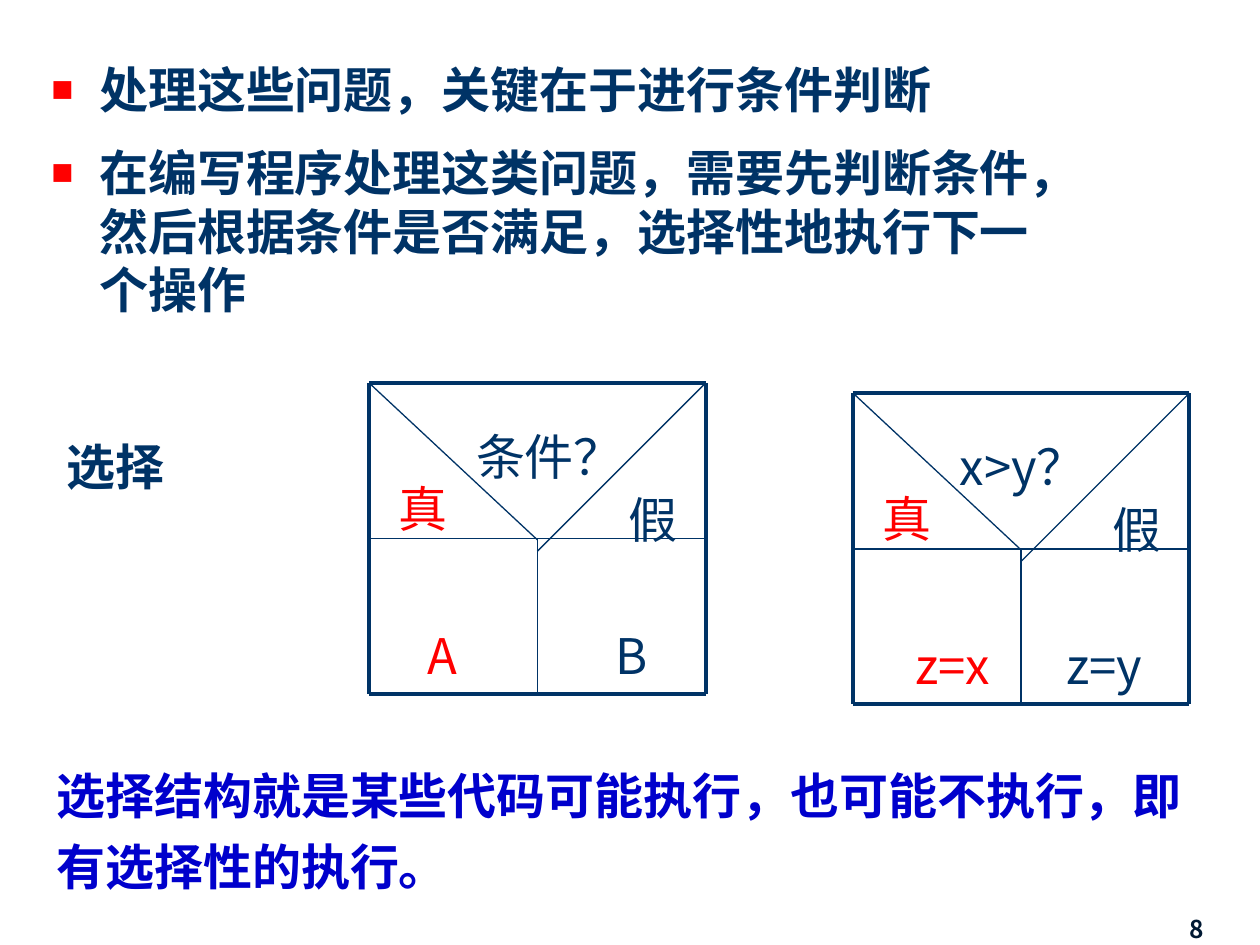
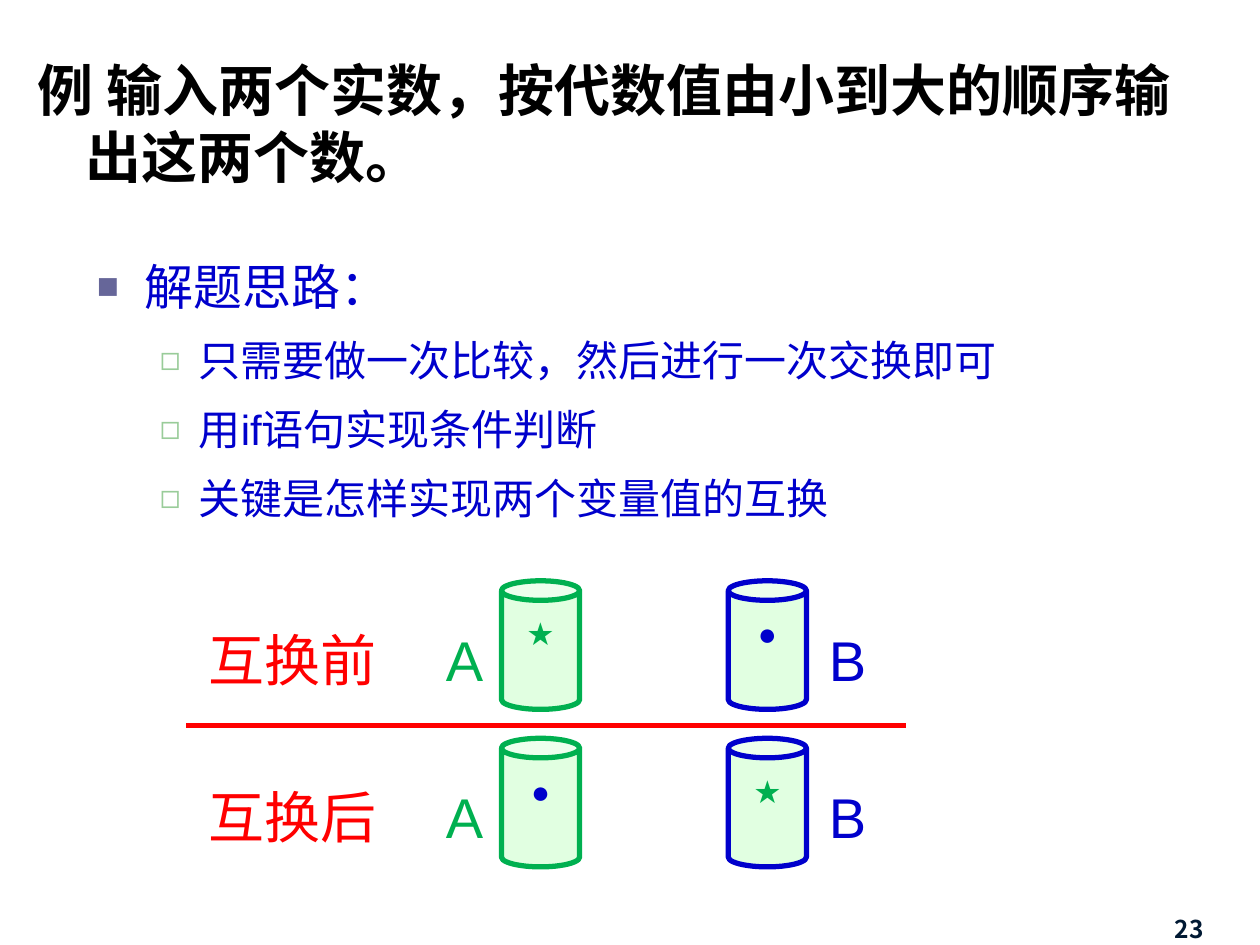
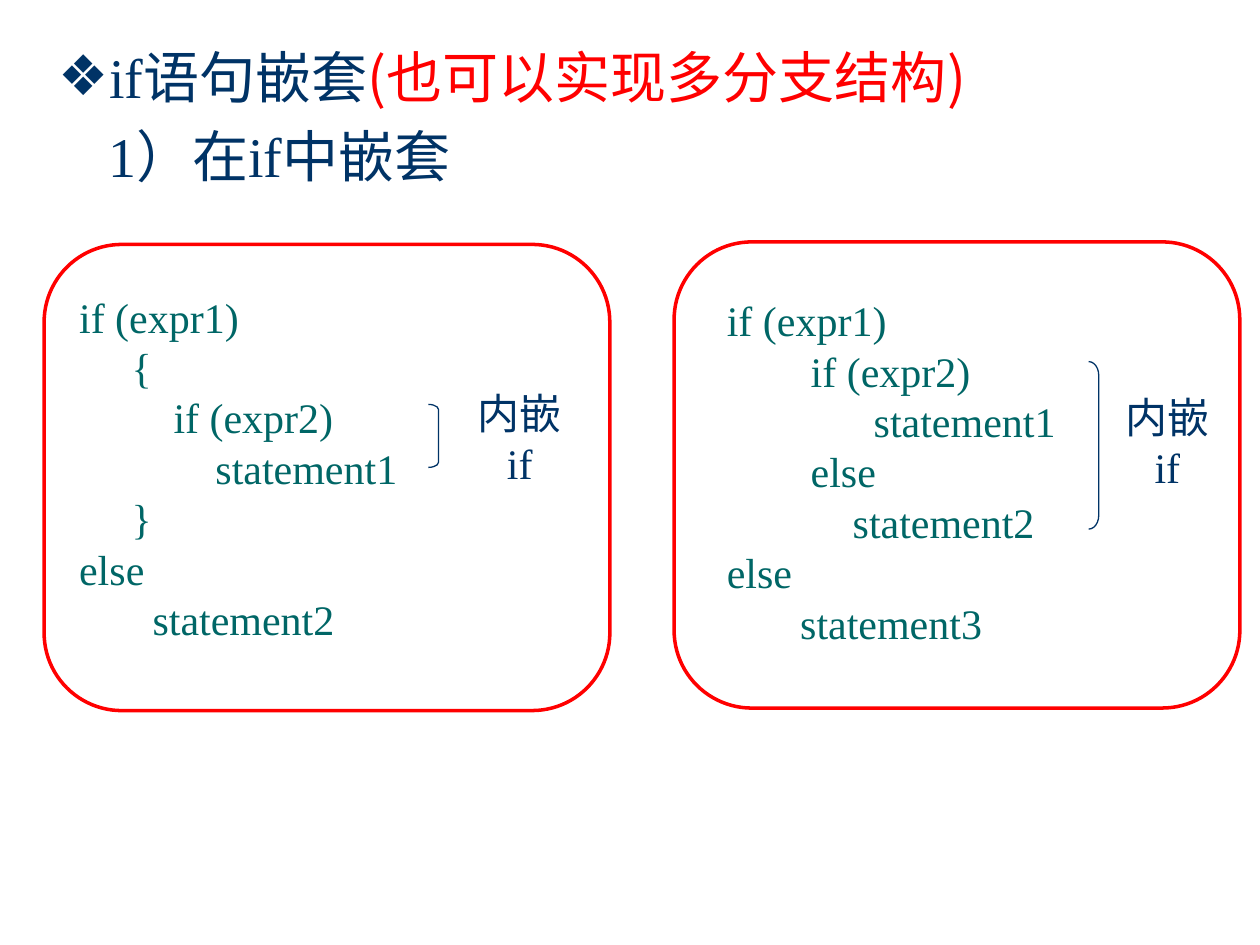
from dataclasses import dataclass

from lxml.etree import SubElement
from pptx import Presentation
from pptx.dml.color import RGBColor
from pptx.enum.shapes import MSO_CONNECTOR, MSO_SHAPE
from pptx.enum.text import MSO_ANCHOR, PP_ALIGN
from pptx.oxml.ns import qn
from pptx.util import Inches, Pt


@dataclass(frozen=True)
class Theme:
    navy: str = "003366"
    ink: str = "001933"
    black: str = "000000"
    red: str = "FF0000"
    blue: str = "0000CC"
    green: str = "00B050"
    pale_green: str = "E1FFE1"
    code: str = "006666"
    violet: str = "666699"
    sage: str = "99CC99"
    cjk: str = "Noto Sans CJK SC"
    sans: str = "Arial"
    serif: str = "Times New Roman"
    title_size: int = 32
    body_size: int = 28
    small_size: int = 24
    symbol_size: int = 18
    number_size: int = 14
    tight: float = 1.2
    loose: float = 1.45
    top_inset: float = 0.08


THEME = Theme()


def rgb(value):
    return RGBColor.from_string(value)


def add_bullet(paragraph, char, color, percent=100):
    properties = paragraph._p.get_or_add_pPr()
    bullet_color = SubElement(properties, qn("a:buClr"))
    SubElement(bullet_color, qn("a:srgbClr"), val=color)
    SubElement(properties, qn("a:buSzPct"), val=str(percent * 1000))
    SubElement(properties, qn("a:buFont"), typeface=THEME.sans)
    SubElement(properties, qn("a:buChar"), char=char)


def add_run(paragraph, text, size, font, color, bold=False):
    run = paragraph.add_run()
    run.text = text
    run.font.size = Pt(size)
    run.font.name = font
    run.font.bold = bold
    run.font.color.rgb = rgb(color)
    SubElement(run._r.get_or_add_rPr(), qn("a:ea"), typeface=THEME.cjk)


def write(frame, text, size=THEME.body_size, font=THEME.cjk, color=THEME.navy,
          bold=False, align=PP_ALIGN.LEFT, leading=THEME.loose, gap=0.0,
          margin=0.0, indent=0.0, bullet=None):
    """Add one paragraph; leading and gap are multiples of the type size."""
    first = frame.paragraphs[0]
    is_first = not first.runs
    paragraph = first if is_first else frame.add_paragraph()
    properties = paragraph._p.get_or_add_pPr()
    properties.set("marL", str(Inches(margin)))
    properties.set("indent", str(Inches(indent)))
    if bullet:
        add_bullet(paragraph, *bullet)
    paragraph.alignment = align
    paragraph.line_spacing = Pt(size * leading)
    if gap and not is_first:
        paragraph.space_before = Pt(size * gap)
    for index, line in enumerate(text.split("\n")):
        if index:
            paragraph.add_line_break()
        add_run(paragraph, line, size, font, color, bold)
    return paragraph


def text_area(slide, left, top, width, height, anchor=MSO_ANCHOR.TOP, wrap=True):
    box = slide.shapes.add_textbox(Inches(left), Inches(top), Inches(width), Inches(height))
    frame = box.text_frame
    frame.word_wrap = wrap
    frame.vertical_anchor = anchor
    frame.margin_top = Inches(THEME.top_inset)
    return frame


def label(slide, place, text, **style):
    write(text_area(slide, *place), text, **style)


def add_line(slide, start, end, color=THEME.navy, weight=1.0):
    line = slide.shapes.add_connector(
        MSO_CONNECTOR.STRAIGHT, *(Inches(value) for value in (*start, *end)))
    line.line.color.rgb = rgb(color)
    line.line.width = Pt(weight)
    SubElement(line._element.spPr, qn("a:effectLst"))


def add_outline(slide, kind, place, color, weight, fill=None, adjust=None):
    shape = slide.shapes.add_shape(kind, *(Inches(value) for value in place))
    shape.shadow.inherit = False
    shape.line.color.rgb = rgb(color)
    shape.line.width = Pt(weight)
    if fill:
        shape.fill.solid()
        shape.fill.fore_color.rgb = rgb(fill)
    else:
        shape.fill.background()
    if adjust is not None:
        shape.adjustments[0] = adjust
    return shape


def page_number(slide, number):
    frame = text_area(slide, 8.77, 7.13, 0.88, 0.4, anchor=MSO_ANCHOR.MIDDLE)
    write(frame, str(number), size=THEME.number_size, color=THEME.ink, bold=True,
          align=PP_ALIGN.RIGHT)


def selection_chart(slide, left, top, condition, yes_action, no_action):
    """Structured flow chart; each action is (text, left offset, width)."""
    width, height = 2.67, 2.47
    right, bottom = left + width, top + height
    center, middle = left + width / 2, top + height / 2
    for start, end, weight in (
        ((left, top), (right, top), 2.25),
        ((left, bottom), (right, bottom), 2.25),
        ((left, top), (left, bottom), 2.25),
        ((right, top), (right, bottom), 2.25),
        ((left, middle), (right, middle), 1),
        ((center, middle), (center, bottom), 1),
        ((right, top), (center, middle + 0.1), 0.75),
        ((left, top), (center, middle + 0.01), 0.75),
    ):
        add_line(slide, start, end, weight=weight)

    label(slide, (left + 0.75, top + 0.17, 1.75, 0.57), condition)
    branches = (
        (("真", 0.09, 0.67), 0.58, THEME.red),
        (("假", 1.92, 0.67), 0.67, THEME.navy),
        (yes_action, 1.75, THEME.red),
        (no_action, 1.75, THEME.navy),
    )
    for (text, across, box_width), down, color in branches:
        label(slide, (left + across, top + down, box_width, 0.57), text,
              color=color, align=PP_ALIGN.CENTER)


def selection_slide(slide):
    points = text_area(slide, 0.31, 0.39, 8.2, 2.6)
    for point in ("处理这些问题，关键在于进行条件判断",
                  "在编写程序处理这类问题，需要先判断条件，然后根据条件是否满足，选择性地执行下一个操作"):
        write(points, point, bold=True, leading=THEME.tight, gap=0.5,
              margin=0.38, indent=-0.38, bullet=("■", THEME.red, 75))
    label(slide, (0.43, 3.29, 1.75, 0.57), "选择", bold=True)
    selection_chart(slide, 2.93, 3.04, "条件？", ("A", 0.25, 0.67), ("B", 1.75, 0.67))
    selection_chart(slide, 6.77, 3.12, "x>y？", ("z=x", 0.25, 1.08), ("z=y", 1.58, 0.83))
    label(slide, (0.35, 5.9, 9.13, 1.23),
          "选择结构就是某些代码可能执行，也可能不执行，即有选择性的执行。",
          font=THEME.sans, color=THEME.blue, bold=True)
    page_number(slide, 8)


def cup(slide, left, top, color, symbol, symbol_color):
    can = add_outline(slide, MSO_SHAPE.CAN, (left, top, 0.62, 1.02), color, 3,
                      fill=THEME.pale_green, adjust=0.25)
    frame = can.text_frame
    frame.word_wrap = False
    frame.vertical_anchor = MSO_ANCHOR.TOP
    write(frame, symbol, size=THEME.symbol_size, font=THEME.sans,
          color=symbol_color, align=PP_ALIGN.CENTER)


def swap_row(slide, top, stage, symbols):
    cups = ((3.98, THEME.green), (5.78, THEME.blue))
    for (left, color), (symbol, symbol_color) in zip(cups, symbols):
        cup(slide, left, top, color, symbol, symbol_color)
    for text, left, width, color in (
        (stage, 1.56, 1.56, THEME.red),
        ("A", 3.44, 0.47, THEME.green),
        ("B", 6.48, 0.47, THEME.blue),
    ):
        label(slide, (left, top + 0.16, width, 0.64), text,
              size=THEME.title_size, font=THEME.sans, color=color)


def swap_slide(slide):
    label(slide, (0.2, 0.36, 9.22, 1.18),
          "例 输入两个实数，按代数值由小到大的顺序输出这两个数。",
          size=THEME.title_size, color=THEME.black, bold=True,
          leading=THEME.tight, margin=0.38, indent=-0.38)
    idea = text_area(slide, 0.67, 1.86, 8.59, 2.43)
    write(idea, "解题思路：", font=THEME.sans, color=THEME.blue,
          margin=0.38, indent=-0.38, bullet=("■", THEME.violet, 75))
    for step in ("只需要做一次比较，然后进行一次交换即可",
                 "用if语句实现条件判断",
                 "关键是怎样实现两个变量值的互换"):
        paragraph = write(idea, step, size=THEME.small_size, font=THEME.sans,
                          color=THEME.blue, gap=0.2, margin=0.81, indent=-0.31,
                          bullet=("◻", THEME.sage, 80))
        paragraph.level = 1
    star, dot = ("★", THEME.green), ("●", THEME.blue)
    swap_row(slide, 4.61, "互换前", (star, dot))
    swap_row(slide, 5.86, "互换后", (dot, star))
    add_line(slide, (1.48, 5.76), (7.19, 5.76), THEME.red, 3)
    page_number(slide, 23)


def code_panel(slide, panel, code_place, code, bracket, bracket_adjust, note_place):
    listing = text_area(slide, *code_place, wrap=False)
    for line in code:
        write(listing, line, size=THEME.small_size, font=THEME.serif,
              color=THEME.code, leading=THEME.tight)
    note = text_area(slide, *note_place, anchor=MSO_ANCHOR.MIDDLE, wrap=False)
    write(note, "内嵌\nif", size=THEME.small_size, font=THEME.serif,
          leading=THEME.tight, align=PP_ALIGN.CENTER)
    add_outline(slide, MSO_SHAPE.RIGHT_BRACKET, bracket, THEME.navy, 0.75,
                adjust=bracket_adjust)
    add_outline(slide, MSO_SHAPE.ROUNDED_RECTANGLE, panel, THEME.red, 2)


def nesting_slide(slide):
    heading = text_area(slide, 0.37, 0.26, 9.37, 1.44)
    style = dict(size=THEME.title_size, font=THEME.serif, leading=THEME.tight, gap=0.2)
    topic = write(heading, "if语句嵌套", margin=0.38, indent=-0.38,
                  bullet=("❖", THEME.navy), **style)
    add_run(topic, "(也可以实现多分支结构)", THEME.title_size, THEME.cjk, THEME.red)
    write(heading, "1）在if中嵌套", margin=0.41, indent=-0.02, **style)

    code_panel(
        slide, (0.35, 1.94, 4.49, 3.7), (0.53, 2.23, 2.73, 3.33),
        ("if (expr1)",
         "     {",
         "         if (expr2)",
         "             statement1",
         "     }",
         "else",
         "       statement2"),
        (3.4, 3.21, 0.08, 0.5), 0.5, (3.59, 3.21, 1.07, 0.5))
    code_panel(
        slide, (5.35, 1.92, 4.49, 3.7), (5.67, 2.26, 2.81, 2.93),
        ("if (expr1)",
         "        if (expr2)",
         "              statement1",
         "        else",
         "            statement2",
         "else",
         "       statement3"),
        (8.64, 2.87, 0.08, 1.33), 1.36, (8.73, 3.24, 1.07, 0.5))


def main():
    deck = Presentation()
    deck.slide_width, deck.slide_height = Inches(10), Inches(7.5)
    blank = deck.slide_layouts[6]
    for build in (selection_slide, swap_slide, nesting_slide):
        build(deck.slides.add_slide(blank))
    deck.save("out.pptx")


if __name__ == "__main__":
    main()
